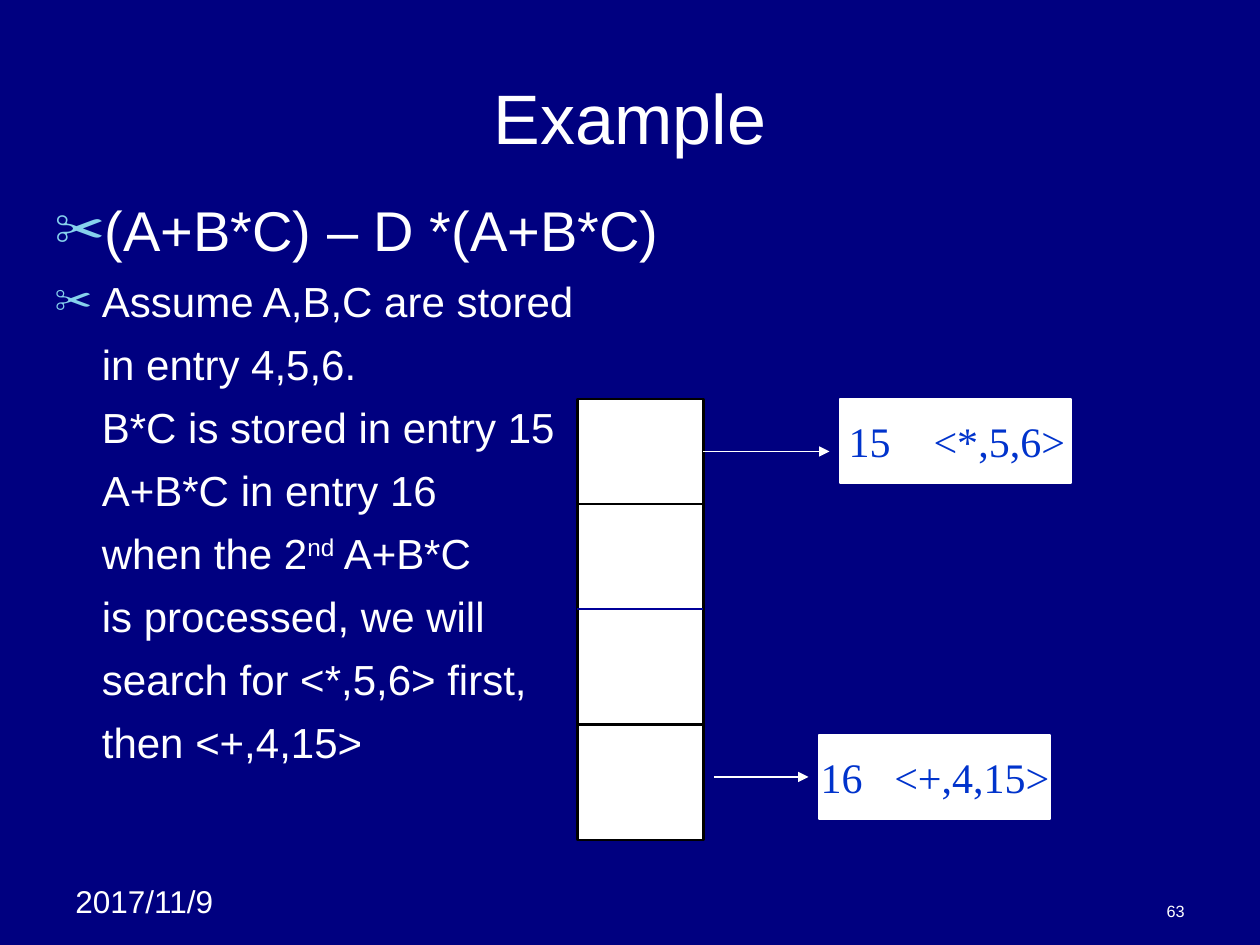
from pptx import Presentation
from pptx.dml.color import RGBColor
from pptx.enum import shapes, text
from pptx.oxml.ns import qn
from pptx.util import Pt
from lxml import etree

# Content
TITLE = "Example"
BULLETS = [("(A+B*C) – D *(A+B*C)", 32), ("Assume A,B,C are stored", 24)]
CONTINUATION = [
    "in entry 4,5,6.",
    "B*C is stored in entry 15",
    "A+B*C in entry 16",
    ("when the 2", "nd", " A+B*C"),
    "is processed, we will",
    "search for <*,5,6> first,",
    "then <+,4,15>",
]
DATE, PAGE = "2017/11/9", "63"

# Stack of entries, with its dividers as (y, colour key, width)
STACK = (330, 228, 72, 252)
DIVIDERS = [(288, "black", 1.5), (348, "divider", 1), (414, "black", 1.5)]
# Each entry: number, triple, box left and top, left inset, tab stop, arrow (x1, x2, y)
ENTRIES = [
    ("15", "<*,5,6>", 480, 228, 5, 48.5, (402, 474, 258)),
    ("16", "<+,4,15>", 468, 420, 1, 42, (408, 462, 444)),
]
ENTRY_SIZE = (132, 48)

THEME = {
    "background": "000080", "white": "FFFFFF", "black": "000000",
    "divider": "000099", "entry": "0033CC", "bullet": "86D1EC",
    "sans": "Arial", "serif": "Times New Roman",
    "title": 40, "body": 24, "date": 18, "page": 9.3,
}


def color(key):
    return RGBColor.from_string(THEME[key])


def place(shape, left, top, width, height):
    shape.left, shape.top = Pt(left), Pt(top)
    shape.width, shape.height = Pt(width), Pt(height)


def style(paragraph, size, key="white", font="sans"):
    for run in paragraph.runs:
        run.font.name = THEME[font]
        run.font.size = Pt(size)
        run.font.color.rgb = color(key)


def add_child(parent, tag, **attributes):
    return etree.SubElement(parent, qn(tag), attributes)


def indent(paragraph, bulleted):
    properties = paragraph._p.get_or_add_pPr()
    properties.set("marL", str(Pt(27)))
    properties.set("indent", str(Pt(-27 if bulleted else 0)))
    if bulleted:
        add_child(add_child(properties, "a:buClr"), "a:srgbClr", val=THEME["bullet"])
        add_child(properties, "a:buSzPct", val="90000")
        add_child(properties, "a:buChar", char="✂")
    else:
        add_child(properties, "a:buNone")


def add_line(slide, x1, y1, x2, y2, key, width, arrow=False):
    line = slide.shapes.add_connector(
        shapes.MSO_CONNECTOR.STRAIGHT, Pt(x1), Pt(y1), Pt(x2), Pt(y2))
    line.line.color.rgb = color(key)
    line.line.width = Pt(width)
    if arrow:
        add_child(line.line._get_or_add_ln(), "a:tailEnd", type="triangle")
    add_child(line._element.spPr, "a:effectLst")


def add_box(slide, bounds, key, width):
    box = slide.shapes.add_shape(
        shapes.MSO_SHAPE.RECTANGLE, *(Pt(value) for value in bounds))
    box.shadow.inherit = False
    box.fill.solid()
    box.fill.fore_color.rgb = color("white")
    box.line.color.rgb = color(key)
    box.line.width = Pt(width)
    return box


def add_label(slide, words, bounds, size, alignment, anchor):
    frame = slide.shapes.add_textbox(*(Pt(value) for value in bounds)).text_frame
    frame.word_wrap = True
    frame.vertical_anchor = anchor
    frame.text = words
    frame.paragraphs[0].alignment = alignment
    style(frame.paragraphs[0], size)


def fill_body(body):
    frame = body.text_frame
    frame.auto_size = text.MSO_AUTO_SIZE.NONE
    lines = [(words, size, True) for words, size in BULLETS]
    lines += [(words, THEME["body"], False) for words in CONTINUATION]
    for number, (words, size, bulleted) in enumerate(lines):
        paragraph = frame.add_paragraph() if number else frame.paragraphs[0]
        paragraph.line_spacing = 1.0
        paragraph.space_before = Pt(7.2 if number else 0)
        indent(paragraph, bulleted)
        parts = (words,) if isinstance(words, str) else words
        for part in parts:
            paragraph.add_run().text = part
        style(paragraph, size)
        if len(parts) > 1:  # the middle part is the ordinal suffix
            paragraph.runs[1].font._element.set("baseline", "30000")


def add_entry(slide, number, triple, left, top, inset, tab, arrow):
    frame = add_box(slide, (left, top, *ENTRY_SIZE), "white", 1).text_frame
    frame.word_wrap = True
    frame.vertical_anchor = text.MSO_ANCHOR.MIDDLE
    frame.margin_left, frame.margin_right = Pt(inset), 0
    frame.text = f"{number}\t{triple}"
    paragraph = frame.paragraphs[0]
    paragraph.alignment = text.PP_ALIGN.LEFT
    tabs = add_child(paragraph._p.get_or_add_pPr(), "a:tabLst")
    add_child(tabs, "a:tab", pos=str(Pt(tab)), algn="l")
    style(paragraph, THEME["body"], "entry", "serif")
    start, end, y = arrow
    add_line(slide, start, y, end, y, "white", 1, arrow=True)


def main():
    presentation = Presentation()
    presentation.slide_width, presentation.slide_height = Pt(720), Pt(540)
    slide = presentation.slides.add_slide(presentation.slide_layouts[1])
    slide.background.fill.solid()
    slide.background.fill.fore_color.rgb = color("background")

    # Title and body
    title, body = slide.placeholders
    place(title, 36, 21.6, 648, 90)
    title.text_frame.text = TITLE
    title.text_frame.vertical_anchor = text.MSO_ANCHOR.MIDDLE
    title.text_frame.paragraphs[0].alignment = text.PP_ALIGN.CENTER
    style(title.text_frame.paragraphs[0], THEME["title"])
    place(body, 24, 108, 642, 378)
    fill_body(body)

    # Stack and the entries it points to
    add_box(slide, STACK, "black", 1.5)
    left, _, width, _ = STACK
    for y, key, weight in DIVIDERS:
        add_line(slide, left, y, left + width, y, key, weight)
    for entry in ENTRIES:
        add_entry(slide, *entry)

    # Date and page number
    add_label(slide, DATE, (36, 500.5, 114, 29), THEME["date"],
              text.PP_ALIGN.LEFT, text.MSO_ANCHOR.TOP)
    add_label(slide, PAGE, (516, 510, 168, 19.5), THEME["page"],
              text.PP_ALIGN.RIGHT, text.MSO_ANCHOR.BOTTOM)

    presentation.save("out.pptx")


if __name__ == "__main__":
    main()
